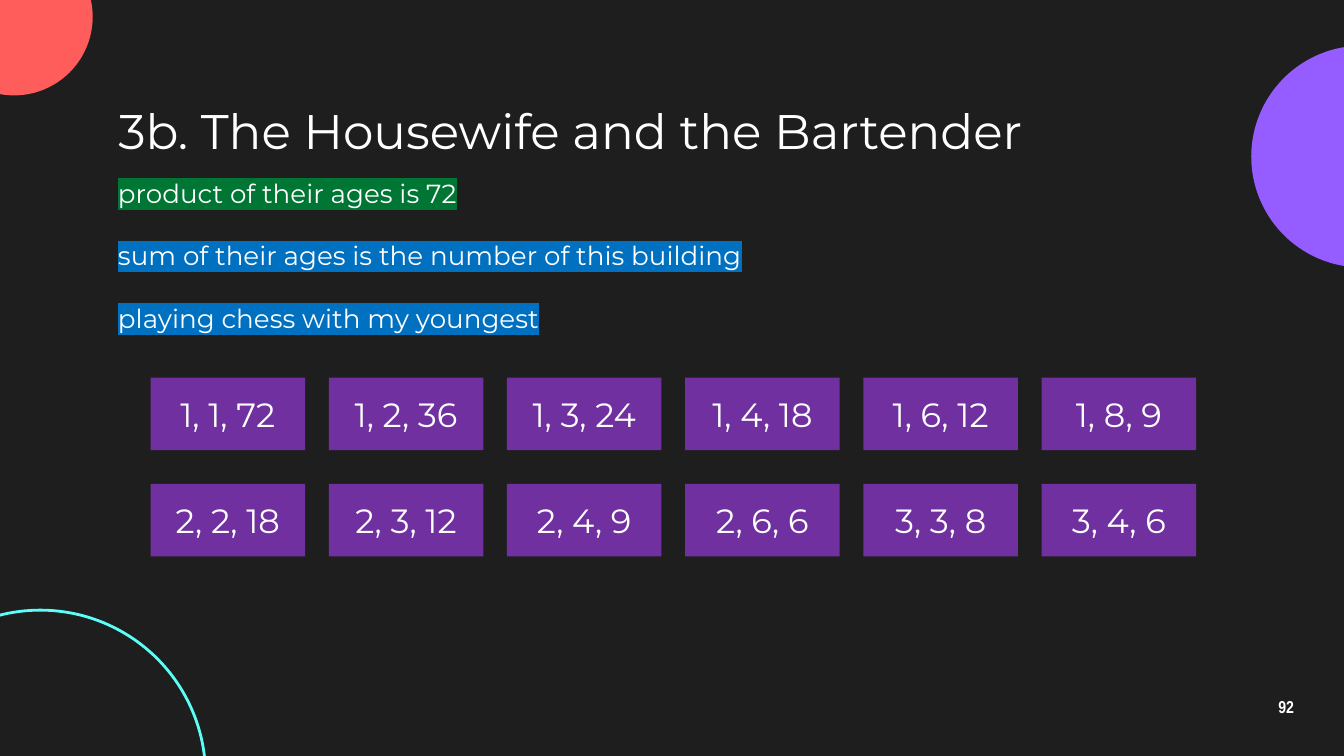
from lxml import etree
from pptx import Presentation
from pptx.dml.color import RGBColor
from pptx.enum.shapes import MSO_SHAPE
from pptx.enum.text import MSO_ANCHOR, MSO_AUTO_SIZE, PP_ALIGN
from pptx.oxml.ns import qn
from pptx.util import Inches, Pt

RECTANGLE, OVAL = MSO_SHAPE.RECTANGLE, MSO_SHAPE.OVAL
LEFT, CENTER = PP_ALIGN.LEFT, PP_ALIGN.CENTER
TOP, MIDDLE = MSO_ANCHOR.TOP, MSO_ANCHOR.MIDDLE
NO_AUTOFIT = MSO_AUTO_SIZE.NONE
TITLE_ONLY = 5

BACKGROUND, WHITE = "1E1E1E", "FFFFFF"
VIOLET, CORAL, CYAN = "955CFF", "FF5C5C", "5CFFF8"
GREEN, BLUE, PURPLE = "007635", "0070C0", "7030A0"

CLUES = [
    ("product of their ages is 72", GREEN),
    ("sum of their ages is the number of this building", BLUE),
    ("playing chess with my youngest", BLUE),
]
AGE_ROWS = [
    ["1, 1, 72", "1, 2, 36", "1, 3, 24", "1, 4, 18", "1, 6, 12", "1, 8, 9"],
    ["2, 2, 18", "2, 3, 12", "2, 4, 9", "2, 6, 6", "3, 3, 8", "3, 4, 6"],
]


def color(value):
    return RGBColor.from_string(value)


def inches(box):
    return [Inches(length) for length in box]


def write_text(paragraph, text, size, font="Montserrat", bold=False,
               align=LEFT, highlight=None, line_spacing=None, space_after=0):
    paragraph.alignment = align
    paragraph.space_after = Pt(space_after)
    if line_spacing:
        paragraph.line_spacing = line_spacing
    run = paragraph.add_run()
    run.text = text
    run.font.size = Pt(size)
    run.font.bold = bold
    run.font.color.rgb = color(WHITE)
    if highlight:
        properties = run.font._element
        mark = etree.Element(qn("a:highlight"))
        etree.SubElement(mark, qn("a:srgbClr"), val=highlight)
        properties.find(qn("a:solidFill")).addnext(mark)
    run.font.name = font


def format_frame(frame, anchor, margin=0.1):
    frame.word_wrap = True
    frame.auto_size = NO_AUTOFIT
    frame.vertical_anchor = anchor
    frame.margin_left = frame.margin_right = Inches(margin)
    frame.margin_top = frame.margin_bottom = Inches(margin)


def add_filled_shape(slide, kind, box, fill=None, line=None):
    shape = slide.shapes.add_shape(kind, *inches(box))
    shape.shadow.inherit = False
    if fill:
        shape.fill.solid()
        shape.fill.fore_color.rgb = color(fill)
    else:
        shape.fill.background()
    if line:
        shape.line.color.rgb = color(line)
        shape.line.width = Pt(1.5)
    else:
        shape.line.fill.background()
    return shape


def add_decoration(slide):
    add_filled_shape(slide, OVAL, (9.31, 0.34, 1.65, 1.65), fill=VIOLET)
    add_filled_shape(slide, OVAL, (-0.48, -0.46, 1.17, 1.17), fill=CORAL)
    add_filled_shape(slide, OVAL, (-0.93, 4.54, 2.46, 2.46), line=CYAN)


def add_title(slide, box, text):
    title = slide.shapes.title
    title.left, title.top, title.width, title.height = inches(box)
    format_frame(title.text_frame, MIDDLE)
    write_text(title.text_frame.paragraphs[0], text, 26)


def add_clues(slide, box, clues):
    frame = slide.shapes.add_textbox(*inches(box)).text_frame
    format_frame(frame, TOP)
    for index, (text, highlight) in enumerate(clues):
        paragraph = frame.add_paragraph() if index else frame.paragraphs[0]
        write_text(paragraph, text, 14, highlight=highlight, space_after=16.6)


def add_age_grid(slide, box, rows, width=1.15, height=0.54):
    left, top, total_width, total_height = box
    column_step = (total_width - width) / (len(rows[0]) - 1)
    row_step = (total_height - height) / (len(rows) - 1)
    for row, ages in enumerate(rows):
        for column, text in enumerate(ages):
            cell = (left + column * column_step, top + row * row_step, width, height)
            card = add_filled_shape(slide, RECTANGLE, cell, fill=PURPLE)
            format_frame(card.text_frame, MIDDLE, margin=0.05)
            write_text(card.text_frame.paragraphs[0], text, 18, align=CENTER)


def add_slide_number(slide, box, text):
    frame = slide.shapes.add_textbox(*inches(box)).text_frame
    format_frame(frame, MIDDLE)
    write_text(frame.paragraphs[0], text, 9.2, font="Arial Narrow", bold=True,
               align=CENTER, line_spacing=0.9)


def main():
    presentation = Presentation()
    presentation.slide_width = Inches(10)
    presentation.slide_height = Inches(10) * 9 // 16
    slide = presentation.slides.add_slide(presentation.slide_layouts[TITLE_ONLY])
    slide.background.fill.solid()
    slide.background.fill.fore_color.rgb = color(BACKGROUND)
    add_decoration(slide)
    add_slide_number(slide, (9.27, 5.1, 0.6, 0.34), "92")
    add_title(slide, (0.78, 0.71, 8.44, 0.51), "3b. The Housewife and the Bartender")
    add_clues(slide, (0.78, 1.22, 7.93, 0.81), CLUES)
    add_age_grid(slide, (1.12, 2.81, 7.78, 1.33), AGE_ROWS)
    presentation.save("out.pptx")


if __name__ == "__main__":
    main()
